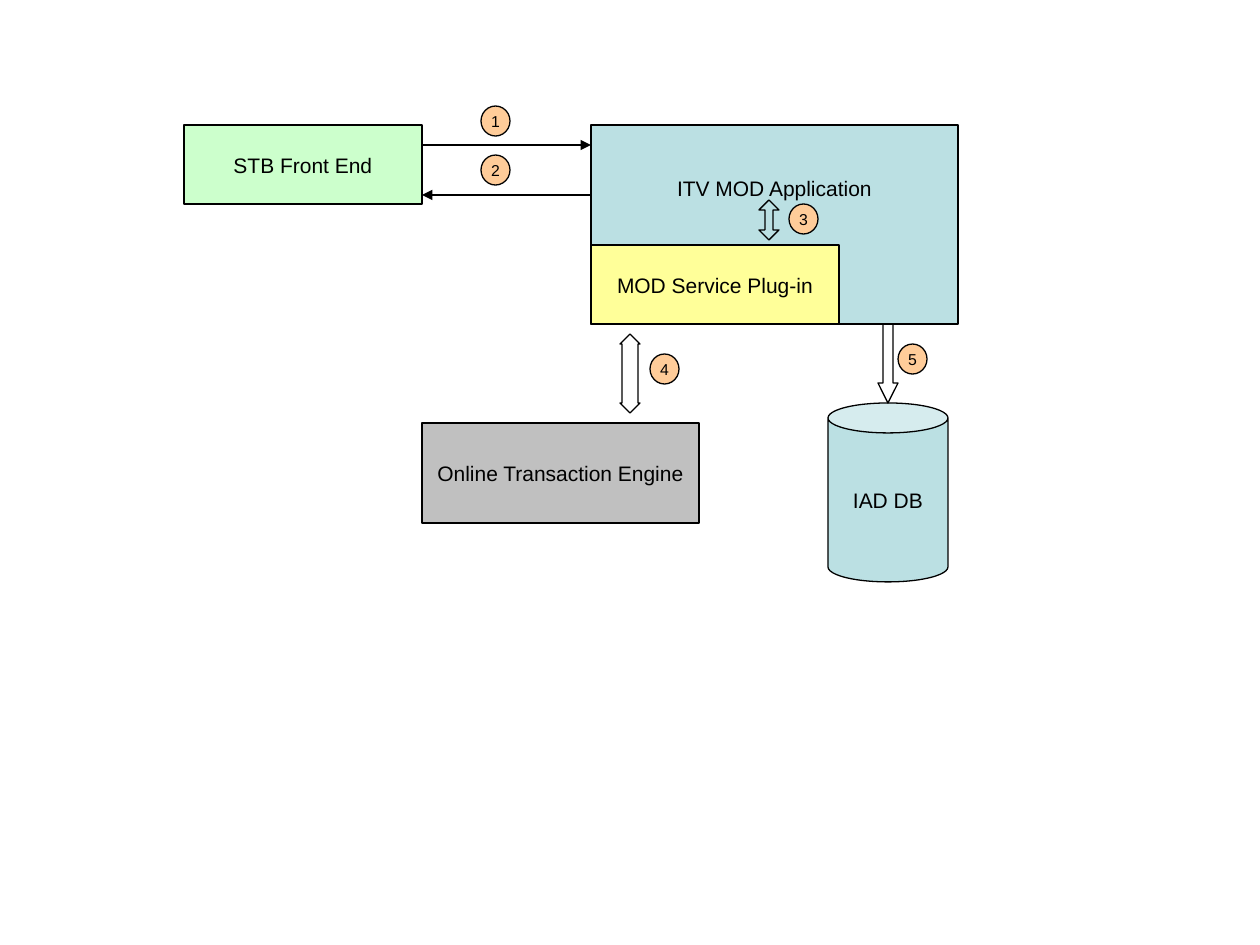
from lxml.etree import SubElement
from pptx import Presentation
from pptx.dml.color import RGBColor
from pptx.enum.shapes import MSO_CONNECTOR, MSO_SHAPE as SHAPE
from pptx.enum.text import MSO_ANCHOR, PP_ALIGN
from pptx.oxml.ns import qn
from pptx.util import Emu, Pt

COLORS = {
    "ink": "000000",
    "front_end": "CCFFCC",
    "app": "BBE0E3",
    "plugin": "FFFF99",
    "engine": "C0C0C0",
    "badge": "FFCC99",
}


def px(n):
    return Emu(round(n * 914400 / 126))


def rgb(name):
    return RGBColor.from_string(COLORS[name])


class Diagram:
    font = "Arial"
    line_width = Pt(0.75)

    def __init__(self, slide):
        self.s = slide

    def outline(self, line):
        line.color.rgb = rgb("ink")
        line.width = self.line_width

    def shape(self, kind, box, fill=None, adj=()):
        sp = self.s.shapes.add_shape(kind, *map(px, box))
        sp.shadow.inherit = False
        if fill:
            sp.fill.solid()
            sp.fill.fore_color.rgb = rgb(fill)
        else:
            sp.fill.background()
        self.outline(sp.line)
        for i, value in enumerate(adj):
            sp.adjustments[i] = value
        return sp

    def label(self, sp, text, size=12, bottom=6):
        """Centre text in a shape; a larger bottom inset lifts it."""
        tf = sp.text_frame
        tf.word_wrap = False
        tf.vertical_anchor = MSO_ANCHOR.MIDDLE
        tf.margin_bottom = px(bottom)
        p = tf.paragraphs[0]
        p.text = text
        p.alignment = PP_ALIGN.CENTER
        p.font.name = self.font
        p.font.size = Pt(size)
        p.font.color.rgb = rgb("ink")

    def node(self, text, box, fill, kind=SHAPE.RECTANGLE, adj=(), bottom=6):
        self.label(self.shape(kind, box, fill, adj), text, bottom=bottom)

    def badge(self, number, x, y):
        self.label(self.shape(SHAPE.OVAL, (x, y, 29, 30), "badge"), str(number), 9)

    def arrow(self, x1, x2, y):
        c = self.s.shapes.add_connector(
            MSO_CONNECTOR.STRAIGHT, px(x1), px(y), px(x2), px(y))
        self.outline(c.line)
        SubElement(c.line._get_or_add_ln(), qn("a:tailEnd"), type="triangle")
        SubElement(c._element.spPr, qn("a:effectLst"))


def main():
    prs = Presentation()
    prs.slide_width, prs.slide_height = px(1260), px(945)
    d = Diagram(prs.slides.add_slide(prs.slide_layouts[6]))

    d.node("STB Front End", (184, 125, 238, 79), "front_end")
    d.node("ITV MOD Application", (591, 125, 367, 199), "app", bottom=79)
    d.node("MOD Service Plug-in", (591, 245, 248, 79), "plugin")
    d.node("Online Transaction Engine", (422, 423, 277, 100), "engine")
    d.node("IAD DB", (828, 403, 120, 179), "app", SHAPE.CAN, (0.25,))

    d.arrow(422, 591, 145)
    d.arrow(591, 422, 195)
    d.shape(SHAPE.UP_DOWN_ARROW, (759, 200, 20, 40), "app", (0.5, 0.4))
    d.shape(SHAPE.UP_DOWN_ARROW, (620, 334, 20, 79), adj=(0.5, 0.8))
    d.shape(SHAPE.DOWN_ARROW, (878, 324, 20, 79), adj=(0.5, 1))

    spots = [(481, 106), (481, 155), (789, 204), (650, 354), (898, 344)]
    for number, (x, y) in enumerate(spots, 1):
        d.badge(number, x, y)

    prs.save("out.pptx")


if __name__ == "__main__":
    main()
